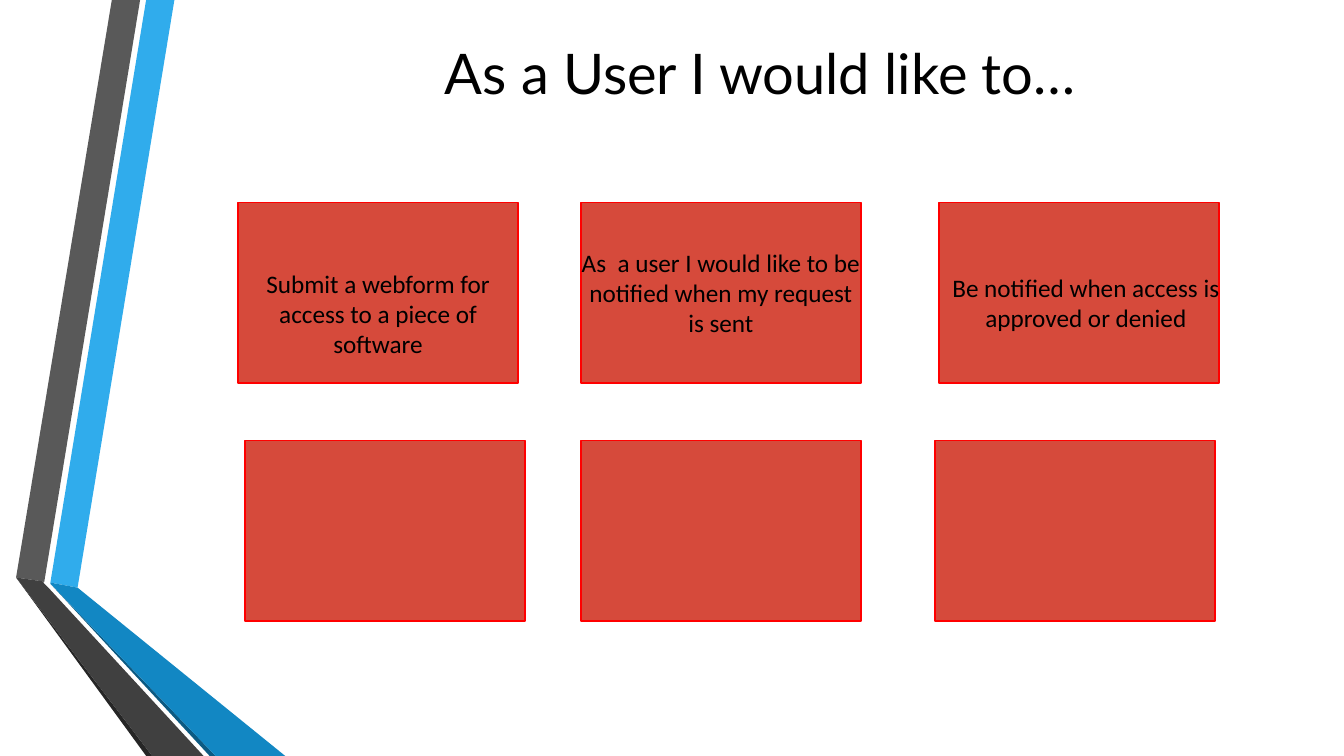
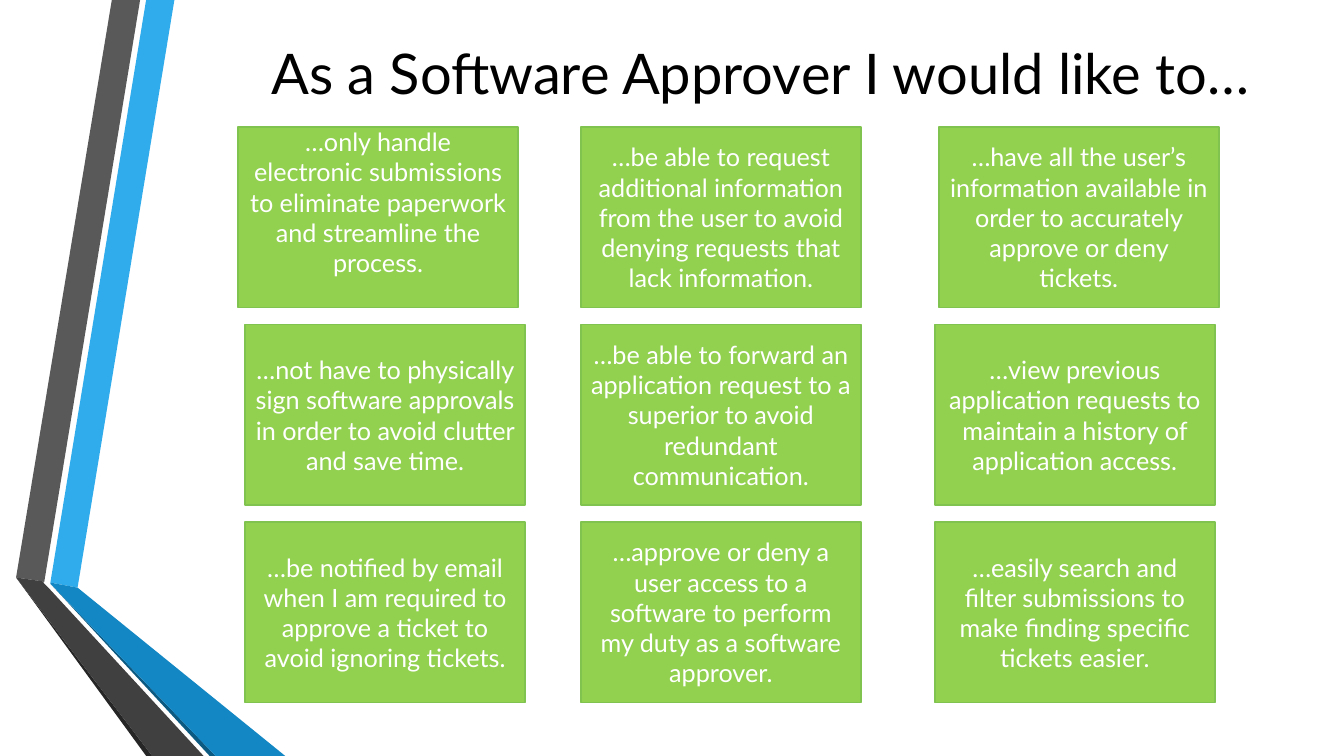
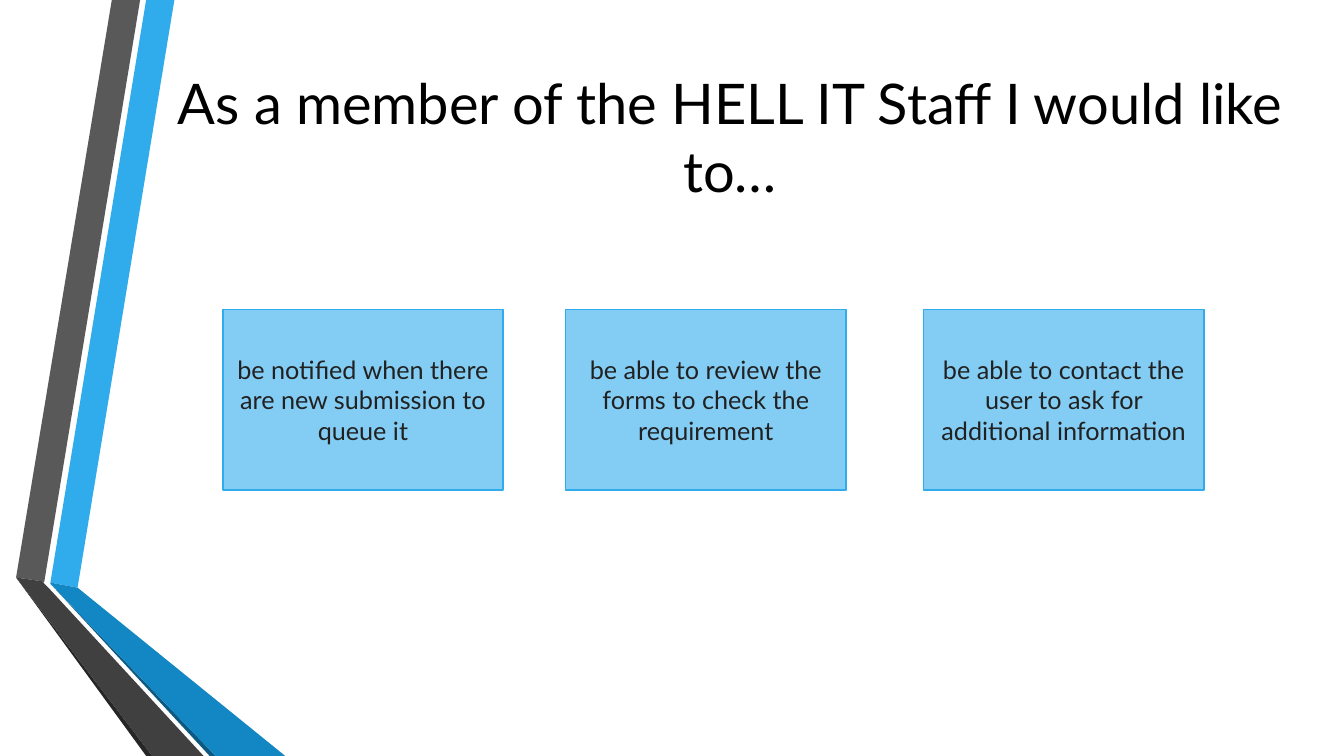
from pptx import Presentation
from pptx.dml.color import RGBColor
from pptx.enum.shapes import MSO_SHAPE
from pptx.enum.text import MSO_ANCHOR, PP_ALIGN
from pptx.util import Inches, Pt

RECT = MSO_SHAPE.RECTANGLE
TOP, MIDDLE = MSO_ANCHOR.TOP, MSO_ANCHOR.MIDDLE
CENTER = PP_ALIGN.CENTER

COLORS = {
    "black": "000000", "white": "FFFFFF", "ink": "212121",
    "red": "D64A3B", "red_line": "FF0000",
    "green": "92D050", "green_line": "80C34F",
    "sky": "83CDF4", "blue": "30ACEC", "blue_mid": "1287C3", "blue_dark": "0C5A82",
    "gray": "595959", "gray_mid": "404040", "gray_dark": "262626",
}
BANDS = [
    ("blue", [(0.5, 5.78), (0.77, 5.83), (1.73, 0), (1.45, 0)]),
    ("gray", [(1.39, 0), (1.11, 0), (0.16, 5.73), (0.44, 5.77)]),
    ("gray_dark", [(0.16, 5.73), (1.45, 7.5), (1.51, 7.5)]),
    ("blue_dark", [(0.5, 5.79), (2.08, 7.5), (2.14, 7.5)]),
    ("blue_mid", [(0.5, 5.79), (2.14, 7.5), (2.83, 7.5), (0.77, 5.83), (0.5, 5.78)]),
    ("gray_mid", [(2.02, 7.5), (0.48, 5.83), (0.43, 5.78), (0.44, 5.77),
                  (0.16, 5.73), (1.51, 7.5)]),
]
CARD_W, CARD_H = 2.78, 1.79
TOP_COLUMNS = (0, 3.4, 6.95)
LOWER_COLUMNS = (0.07, 3.4, 6.91)
TITLE_BOX = (1.74, 0, 11.6, 1.44)
TITLE_FONT = {"name": "Lato", "size": Pt(40)}
CARD_FONT = {"name": "Lato", "size": Pt(18)}
CAPTION_FONT = {"name": "Calibri", "size": Pt(18)}

# Caption text, distance from the left and top of its card, height
USER_CAPTIONS = [
    ("Submit a webform for access to a piece of software", -0.11, 0.6, 1.01),
    ("As\u00a0 a user I would like to be notified when my request is sent", -0.11, 0.39, 1.01),
    ("Be notified when access is approved or denied", -0.04, 0.64, 0.71),
]
APPROVER_STORIES = [
    ["…only handle electronic submissions to eliminate paperwork and streamline the process.",
     "…be able to request additional information from the user to avoid denying requests "
     "that lack information.",
     "…have all the user’s information available in order to accurately approve or deny "
     "tickets."],
    ["…not have to physically sign software approvals in order to avoid clutter and save time.",
     "…be able to forward an application request to a superior to avoid redundant "
     "communication.",
     "…view previous application requests to maintain a history of application access."],
    ["…be notified by email when I am required to approve a ticket to avoid ignoring tickets.",
     "…approve or deny a user access to a software to perform my duty as a software approver.",
     "…easily search and filter submissions to make finding specific tickets easier."],
]
STAFF_STORIES = [[
    "be notified when there are new submission to queue it",
    "be able to review the forms to check the requirement",
    "be able to contact the user to ask for additional information",
]]


def rgb(name):
    """Return the named colour."""
    return RGBColor.from_string(COLORS[name])


def write(sp, text, font, color, anchor):
    """Put one centred, wrapped paragraph into a shape."""
    tf = sp.text_frame
    tf.word_wrap = True
    tf.vertical_anchor = anchor
    p = tf.paragraphs[0]
    p.alignment = CENTER
    r = p.add_run()
    r.text = text
    for name, value in font.items():
        setattr(r.font, name, value)
    r.font.color.rgb = rgb(color)


def text_box(s, box, text, font, anchor=TOP):
    """Add black text in a box of left, top, width and height."""
    sp = s.shapes.add_textbox(*map(Inches, box))
    write(sp, text, font, "black", anchor)


def side_bands(s):
    """Draw the folded bands along the left edge."""
    for color, points in BANDS:
        start, *rest = [(Inches(x), Inches(y)) for x, y in points]
        builder = s.shapes.build_freeform(*start)
        builder.add_line_segments(rest, close=True)
        sp = builder.convert_to_shape()
        sp.shadow.inherit = False
        sp.fill.solid()
        sp.fill.fore_color.rgb = rgb(color)
        sp.line.fill.background()


def story_slide(prs, title, title_box=TITLE_BOX):
    """Start a slide with the bands and its title."""
    s = prs.slides.add_slide(prs.slide_layouts[6])
    side_bands(s)
    text_box(s, title_box, title, TITLE_FONT, MIDDLE)
    return s


def card(s, x, y, text, fill, line, color):
    """Add one story card, with text when there is any."""
    sp = s.shapes.add_shape(RECT, *map(Inches, (x, y, CARD_W, CARD_H)))
    sp.shadow.inherit = False
    sp.fill.solid()
    sp.fill.fore_color.rgb = rgb(fill)
    sp.line.color.rgb = rgb(line)
    sp.line.width = Pt(1.25)
    if text:
        write(sp, text, CARD_FONT, color, MIDDLE)
    return sp


def card_board(s, left, top, step, stories, style):
    """Lay out rows of cards from a corner and return the cards by row."""
    return [
        [card(s, left + dx, top + i * step, text, *style)
         for dx, text in zip(LOWER_COLUMNS if i else TOP_COLUMNS, row)]
        for i, row in enumerate(stories)
    ]


def user_slide(prs):
    """Build the user stories, with captions laid over the top cards."""
    s = story_slide(prs, "As a User I would like to…")
    left, top = 2.36, 2.01
    card_board(s, left, top, 2.36, [[""] * 3] * 2, ("red", "red_line", "black"))
    for column, (text, dx, dy, height) in zip(TOP_COLUMNS, USER_CAPTIONS):
        text_box(s, (left + column + dx, top + dy, 3, height), text, CAPTION_FONT)


def approver_slide(prs):
    """Build the software approver stories."""
    s = story_slide(prs, "As a Software Approver I would like to…")
    cards = card_board(s, 2.36, 1.26, 1.96, APPROVER_STORIES,
                       ("green", "green_line", "white"))
    cards[0][0].text_frame.margin_bottom = Inches(0.35)


def staff_slide(prs):
    """Build the staff stories."""
    s = story_slide(prs, "As a member of the HELL IT Staff I would like to…",
                    (1.44, 0.63, 11.6, 1.44))
    card_board(s, 2.21, 3.07, 0, STAFF_STORIES, ("sky", "blue", "ink"))


prs = Presentation()
prs.slide_width, prs.slide_height = Inches(13.33), Inches(7.5)
for build in (user_slide, approver_slide, staff_slide):
    build(prs)
prs.save("out.pptx")
